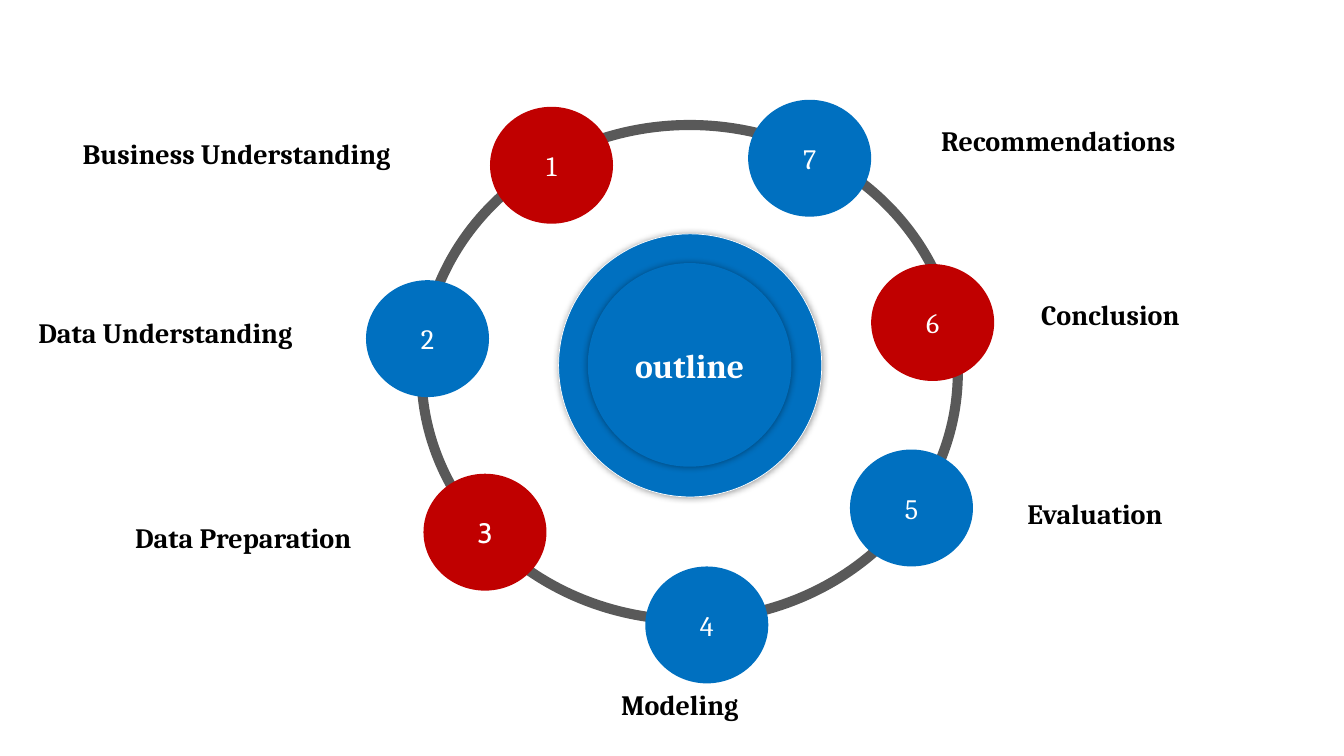
from lxml import etree
from pptx import Presentation
from pptx import util as u
from pptx.dml.color import RGBColor
from pptx.enum import shapes, text
from pptx.oxml.ns import qn

PX = 9144  # EMU per px, 100 px to the inch
BLUE = RGBColor(0x00, 0x70, 0xC0)
RED = RGBColor(0xC0, 0x00, 0x00)
GREY = RGBColor(0x59, 0x59, 0x59)
WHITE = RGBColor(0xFF, 0xFF, 0xFF)
BLACK = RGBColor(0x00, 0x00, 0x00)
SERIF, SANS = "Cambria", "Cabin"
LEFT, CENTER, RIGHT = text.PP_ALIGN.LEFT, text.PP_ALIGN.CENTER, text.PP_ALIGN.RIGHT

# Content: number, circle position, font, label, label box (left, top, width), alignment
STEPS = [
    ("1", (486, 106), SERIF, "Business Understanding", (82, 135, 387), LEFT),
    ("2", (363, 278), SERIF, "Data Understanding", (38, 313, 318), LEFT),
    ("3", (420, 470), SANS, "Data Preparation", (134, 516, 286), LEFT),
    ("4", (640, 562), SERIF, "Modeling", (616, 682, 180), LEFT),
    ("5", (843, 446), SERIF, "Evaluation", (978, 493, 175), RIGHT),
    ("6", (864, 262), SERIF, "Conclusion", (981, 295, 189), RIGHT),
    ("7", (742, 99), SERIF, "Recommendations", (869, 122, 297), RIGHT),
]
RED_STEPS = {"1", "3", "6"}
STEP_W, STEP_H, LABEL_H = 122, 116, 35
RING = (413, 119, 542, 501)
HUB_CENTER, HUB_SIZE, HUB_CORE_SIZE = (684, 362), 261, 202
HUB_TEXT = "outline"

prs = Presentation()
prs.slide_width, prs.slide_height = 1333 * PX, 750 * PX
s = prs.slides.add_slide(prs.slide_layouts[6])


def emu(*lengths):
    return [n * PX for n in lengths]


def write(sp, words, align, size, color, name=SERIF, bold=False):
    p = sp.text_frame.paragraphs[0]
    p.alignment = align
    r = p.add_run()
    r.text = words
    fmt = {"name": name, "size": u.Pt(size), "bold": bold}
    for key, value in fmt.items():
        setattr(r.font, key, value)
    r.font.color.rgb = color


def add_round(kind, box, fill):
    sp = s.shapes.add_shape(kind, *emu(*box))
    sp.shadow.inherit = False
    sp.fill.solid()
    sp.fill.fore_color.rgb = fill
    sp.line.fill.background()
    sp.text_frame.vertical_anchor = text.MSO_ANCHOR.MIDDLE
    return sp


def add_glow_shadow(sp):
    effects = sp._element.spPr.find(qn("a:effectLst"))
    shadow = etree.SubElement(effects, qn("a:outerShdw"), blurRad=str(u.Pt(5)),
                              dist="0", dir="0", algn="ctr", rotWithShape="0")
    color = etree.SubElement(shadow, qn("a:srgbClr"), val=str(BLACK))
    etree.SubElement(color, qn("a:alpha"), val="40000")


# Ring
ring = add_round(shapes.MSO_SHAPE.DONUT, RING, GREY)
ring.adjustments[0] = 0.02

# Numbered circles and their labels
for number, (x, y), font, label, (left, top, width), align in STEPS:
    fill = RED if number in RED_STEPS else BLUE
    circle = add_round(shapes.MSO_SHAPE.OVAL, (x, y, STEP_W, STEP_H), fill)
    write(circle, number, CENTER, 20, WHITE, font)

    box = s.shapes.add_textbox(*emu(left, top, width, LABEL_H))
    tf = box.text_frame
    frame = {"word_wrap": True, "auto_size": text.MSO_AUTO_SIZE.SHAPE_TO_FIT_TEXT,
             "margin_left": 0, "margin_right": 0, "margin_top": 0, "margin_bottom": 0}
    for key, value in frame.items():
        setattr(tf, key, value)
    write(box, label, align, 20, BLACK, bold=True)

# Hub
hub = []
for size in (HUB_SIZE, HUB_CORE_SIZE):
    x, y = (c - size // 2 for c in HUB_CENTER)
    sp = add_round(shapes.MSO_SHAPE.OVAL, (x, y, size, size), BLUE)
    add_glow_shadow(sp)
    hub.append(sp)
outer, core = hub
outer.line.color.rgb = WHITE
outer.line.width = u.Pt(0.5)
write(core, HUB_TEXT, CENTER, 24, WHITE, bold=True)

prs.save("out.pptx")
